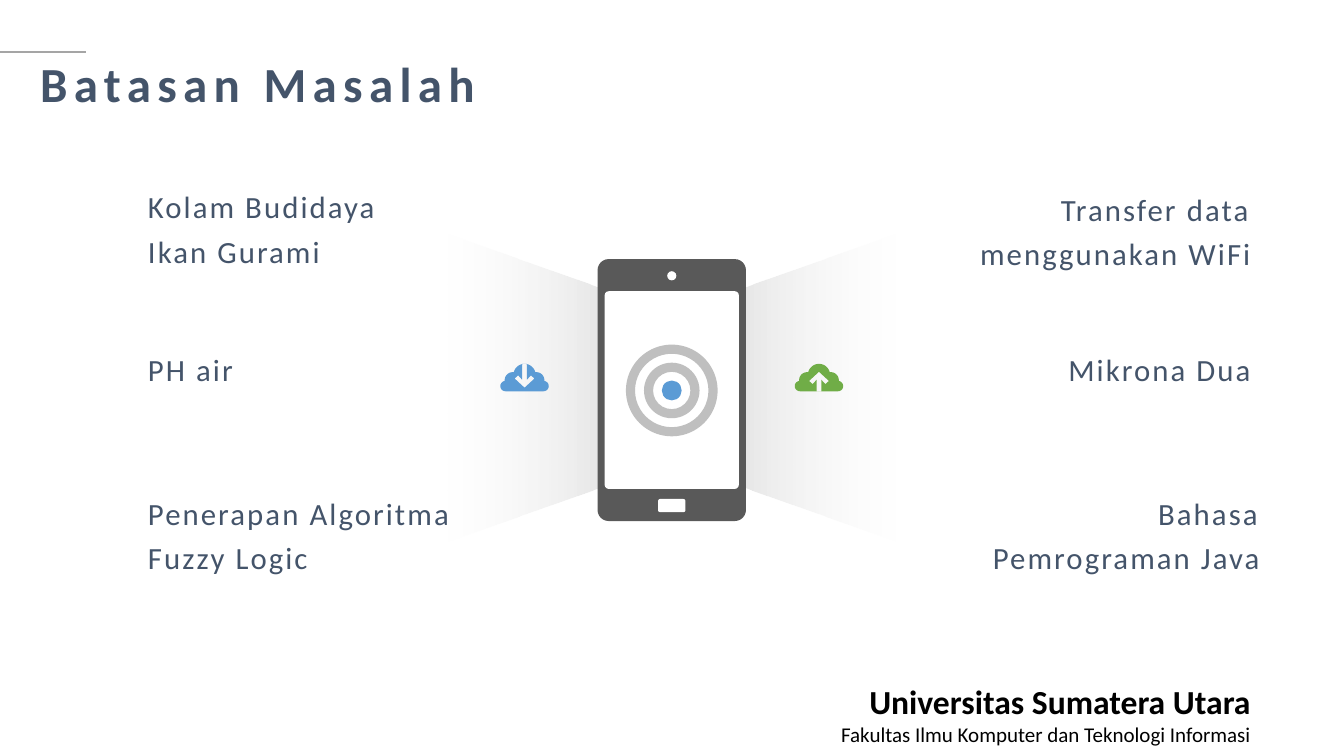
from dataclasses import dataclass
from math import cos, radians, sin

from lxml import etree
from pptx import Presentation
from pptx.dml.color import RGBColor
from pptx.enum.shapes import MSO_CONNECTOR, MSO_SHAPE
from pptx.enum.text import MSO_ANCHOR, MSO_AUTO_SIZE, PP_ALIGN
from pptx.oxml.ns import qn
from pptx.util import Cm, Pt

LEFT, RIGHT = PP_ALIGN.LEFT, PP_ALIGN.RIGHT
TOP = MSO_ANCHOR.TOP
NO_FIT = MSO_AUTO_SIZE.NONE
STRAIGHT = MSO_CONNECTOR.STRAIGHT
ROUNDED, OVAL = MSO_SHAPE.ROUNDED_RECTANGLE, MSO_SHAPE.OVAL
DONUT, TRAPEZOID = MSO_SHAPE.DONUT, MSO_SHAPE.TRAPEZOID


@dataclass(frozen=True)
class Theme:
    font: str = "Calibri"
    ink: str = "44546A"
    black: str = "000000"
    white: str = "FFFFFF"
    rule: str = "A5A5A5"
    phone: str = "595959"
    ring: str = "BFBFBF"
    blue: str = "5B9BD5"
    green: str = "70AD47"
    beam: tuple = (("D9D9D9", 62), ("F2F2F2", 0))
    title_size: float = 35
    label_size: float = 22
    footer_size: float = 24
    subfooter_size: float = 15


THEME = Theme()

TITLE = "Batasan Masalah"
LABELS = [
    (["Kolam Budidaya", "Ikan Gurami"], LEFT, (3.48, 4.55, 6.58, 2.62)),
    (["PH air"], LEFT, (3.48, 8.66, 3.58, 1.73)),
    (["Penerapan Algoritma Fuzzy Logic"], LEFT, (3.48, 12.27, 9.4, 2.79)),
    (["Transfer data menggunakan WiFi"], RIGHT, (23.77, 4.62, 8, 2.62)),
    (["Mikrona Dua"], RIGHT, (23.77, 8.66, 8, 1.73)),
    (["Bahasa Pemrograman Java"], RIGHT, (24, 12.27, 8, 2.39)),
]
FOOTER = [
    ("Universitas Sumatera Utara", THEME.footer_size, True),
    ("Fakultas Ilmu Komputer dan Teknologi Informasi", THEME.subfooter_size, False),
]

PHONE_X = 16.93
SIDE_OFFSET = 3.71
PHONE_PARTS = [
    (ROUNDED, 9.83, 3.74, 6.6, 0.28, THEME.phone),
    (ROUNDED, 9.83, 3.38, 4.98, 0.1, THEME.white),
    (OVAL, 6.95, 0.23, 0.23, None, THEME.white),
    (ROUNDED, 12.74, 0.69, 0.33, 0.05, THEME.white),
    (DONUT, 9.84, 2.31, 2.31, 0.23, THEME.ring),
    (DONUT, 9.84, 1.4, 1.4, 0.23, THEME.ring),
    (OVAL, 9.84, 0.5, 0.5, None, THEME.blue),
]
BEAM_Y, BEAM_LENGTH, BEAM_DEPTH = 9.76, 7.75, 3.91
CLOUD_TOP = 9.17
CLOUD_LOBES = [
    (-0.48, 0.56, 0.13, 90, 260),
    (-0.3, 0.41, 0.2, 180, 290),
    (0, 0.28, 0.28, 195, 270),
]
CLOUDS = [
    (-SIDE_OFFSET, 0.6, 0, THEME.blue),
    (SIDE_OFFSET, 0.2, 0.69, THEME.green),
]


def color(value):
    return RGBColor.from_string(value)


def write(text_frame, lines, alignment, spacing=None, tracking=None):
    for index, (text, formats) in enumerate(lines):
        paragraph = text_frame.paragraphs[0] if index == 0 else text_frame.add_paragraph()
        paragraph.alignment = alignment
        paragraph.line_spacing = spacing
        run = paragraph.add_run()
        run.text = text
        run.font.color.rgb = color(formats["color"])
        for name, value in {
            "name": THEME.font,
            "size": Pt(formats["size"]),
            "bold": formats["bold"],
        }.items():
            setattr(run.font, name, value)
        if tracking:
            run._r.get_or_add_rPr().set("spc", str(int(tracking * 100)))


def style_frame(text_frame, **formats):
    defaults = {"word_wrap": True, "auto_size": NO_FIT, "vertical_anchor": TOP}
    for name, value in {**defaults, **formats}.items():
        setattr(text_frame, name, value)


def paint(shape, fill):
    shape.shadow.inherit = False
    shape.line.fill.background()
    shape.fill.solid()
    shape.fill.fore_color.rgb = color(fill)


def add_centred(slide, kind, x, y, width, height):
    return slide.shapes.add_shape(
        kind, Cm(x - width / 2), Cm(y - height / 2), Cm(width), Cm(height)
    )


def add_title(slide):
    title = slide.shapes.title
    title.left, title.top, title.width, title.height = map(Cm, (0.76, 1.52, 11.61, 1.45))
    style_frame(title.text_frame, word_wrap=False)
    formats = {"size": THEME.title_size, "color": THEME.ink, "bold": True}
    write(title.text_frame, [(TITLE, formats)], LEFT, 0.8, 4.5)


def add_rule(slide):
    rule = slide.shapes.add_connector(STRAIGHT, Cm(0), Cm(1.32), Cm(2.16), Cm(1.32))
    rule.line.color.rgb = color(THEME.rule)
    rule.line.width = Pt(1.5)
    etree.SubElement(rule._element.spPr, qn("a:effectLst"))


def add_beam(slide, side):
    beam = add_centred(
        slide, TRAPEZOID, PHONE_X + side * SIDE_OFFSET, BEAM_Y, BEAM_LENGTH, BEAM_DEPTH
    )
    beam.rotation = 270 if side > 0 else 90
    beam.adjustments[0] = 0.355
    beam.shadow.inherit = False
    beam.line.fill.background()
    beam.fill.gradient()
    beam.fill.gradient_angle = 270
    for stop, (value, opacity) in zip(beam.fill.gradient_stops, THEME.beam):
        stop.color.rgb = color(value)
        rgb = stop._gs.find(qn("a:srgbClr"))
        etree.SubElement(rgb, qn("a:alpha"), val=str(opacity * 1000))


def add_phone(slide):
    for kind, y, width, height, thickness, fill in PHONE_PARTS:
        part = add_centred(slide, kind, PHONE_X, y, width, height)
        if thickness:
            part.adjustments[0] = thickness / min(width, height)
        paint(part, fill)


def mirror(points):
    return points + [(-x, y) for x, y in reversed(points)]


def cloud_outline():
    return mirror([
        (x + radius * cos(radians(angle)), y + radius * sin(radians(angle)))
        for x, y, radius, start, end in CLOUD_LOBES
        for angle in range(start, end + 1, 5)
    ])


def arrow_outline(tip, stem):
    back = 1 if stem > tip else -1
    head = [(0.06, 0.2), (0.16, 0.31), (0.25, 0.23), (0, 0)]
    return mirror([(0.06, stem)] + [(x, tip + back * y) for x, y in head])


def add_cloud(slide, offset, tip, stem, fill):
    cloud, arrow = [
        [(Cm(PHONE_X + offset + x), Cm(CLOUD_TOP + y)) for x, y in outline]
        for outline in (cloud_outline(), arrow_outline(tip, stem))
    ]
    builder = slide.shapes.build_freeform(*cloud[0])
    builder.add_line_segments(cloud[1:], close=True)
    builder.move_to(*arrow[0])
    builder.add_line_segments(arrow[1:], close=True)
    paint(builder.convert_to_shape(), fill)


def add_text(slide, box, lines, alignment, spacing=None, tracking=None, **frame):
    text_box = slide.shapes.add_textbox(*map(Cm, box))
    style_frame(text_box.text_frame, **frame)
    write(text_box.text_frame, lines, alignment, spacing, tracking)


def main():
    presentation = Presentation()
    presentation.slide_width, presentation.slide_height = Cm(33.87), Cm(19.05)
    slide = presentation.slides.add_slide(presentation.slide_layouts[5])
    add_title(slide)
    add_rule(slide)
    for side in (1, -1):
        add_beam(slide, side)
    add_phone(slide)
    for cloud in CLOUDS:
        add_cloud(slide, *cloud)
    label = {"size": THEME.label_size, "color": THEME.ink, "bold": False}
    for texts, alignment, box in LABELS:
        add_text(slide, box, [(text, label) for text in texts], alignment, 1.2, 1.5, margin_top=0)
    footer = [
        (text, {"size": size, "color": THEME.black, "bold": bold})
        for text, size, bold in FOOTER
    ]
    add_text(slide, (20.7, 17.04, 11.07, 1.93), footer, RIGHT)
    presentation.save("out.pptx")


if __name__ == "__main__":
    main()
